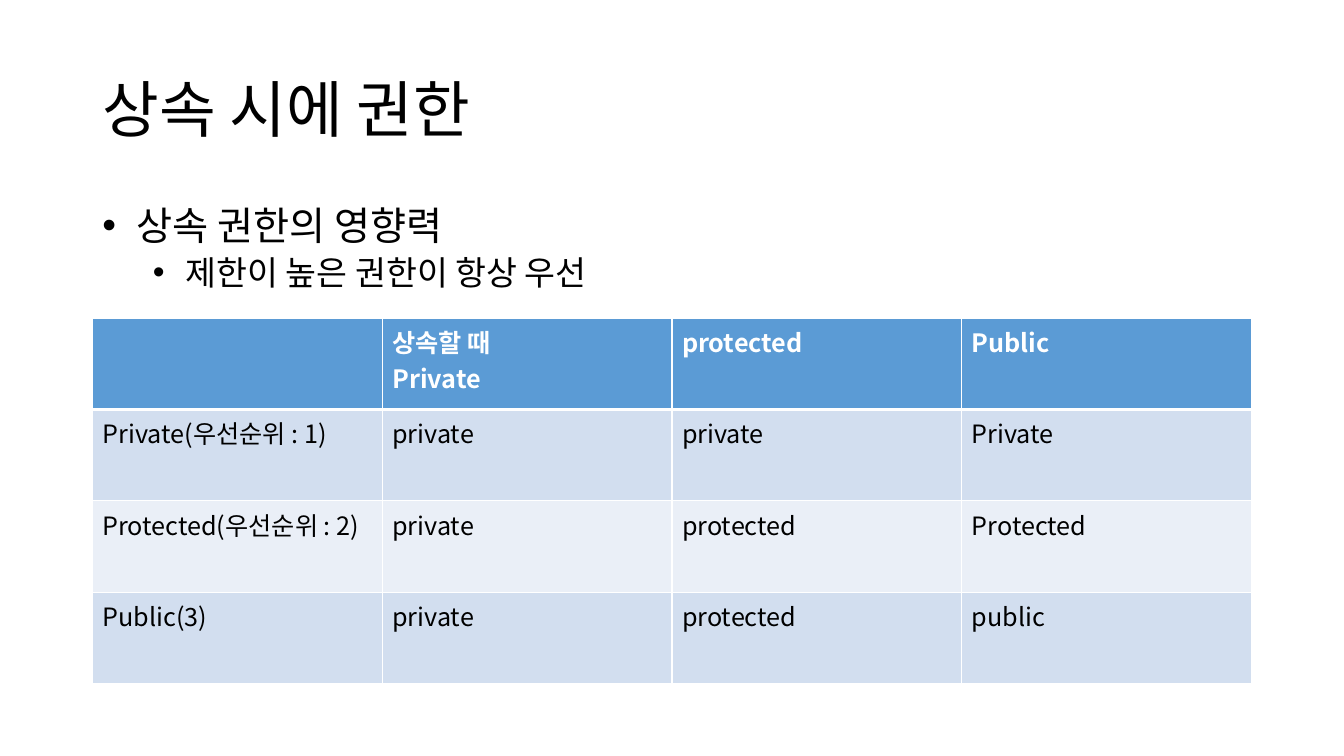
from dataclasses import dataclass

from lxml.etree import SubElement
from pptx import Presentation
from pptx.dml.color import RGBColor
from pptx.enum.text import MSO_ANCHOR as Anchor, MSO_AUTO_SIZE as AutoSize, PP_ALIGN as Align
from pptx.oxml.ns import qn
from pptx.util import Pt

EMU_PER_PX = 9525


@dataclass(frozen=True)
class Theme:
    """Colours, font and type sizes of the slide."""
    font: str = "Noto Sans CJK KR"
    text: str = "000000"
    light: str = "FFFFFF"
    header: str = "5B9BD5"
    bands: tuple = ("D2DEEF", "EAEFF7")
    title_size: int = 44
    list_sizes: tuple = (28, 24)
    table_size: int = 18


THEME = Theme()
TITLE = "상속 시에 권한"
BULLETS = [(0, " 상속 권한의 영향력"), (1, " 제한이 높은 권한이 항상 우선")]
PERMISSIONS = [
    ["", "상속할 때\nPrivate", "protected", "Public"],
    ["Private(우선순위 : 1)", "private", "private", "Private"],
    ["Protected(우선순위 : 2)", "private", "protected", "Protected"],
    ["Public(3)", "private", "protected", "public"],
]


def px(length):
    """Turn pixels into EMU."""
    return length * EMU_PER_PX


def place(shape, box):
    """Move a shape to a box given in px."""
    shape.left, shape.top, shape.width, shape.height = map(px, box)


def add_run(paragraph, text, size, color, bold=False):
    """Add one formatted run for Latin and Korean text."""
    run = paragraph.add_run()
    run.text = text
    font = run.font
    font.name, font.size, font.bold = THEME.font, Pt(size), bold
    font.color.rgb = RGBColor.from_string(color)
    SubElement(run._r.get_or_add_rPr(), qn("a:ea"), typeface=THEME.font)


def fill_title(shape, box):
    """Place and fill the title placeholder."""
    place(shape, box)
    frame = shape.text_frame
    frame.auto_size, frame.vertical_anchor = AutoSize.NONE, Anchor.MIDDLE
    paragraph = frame.paragraphs[0]
    paragraph.alignment, paragraph.line_spacing = Align.LEFT, 0.9
    add_run(paragraph, TITLE, THEME.title_size, THEME.text)


def fill_list(shape, box):
    """Place and fill the two-level bullet list."""
    place(shape, box)
    frame = shape.text_frame
    frame.auto_size, frame.vertical_anchor = AutoSize.NONE, Anchor.TOP
    for index, (level, text) in enumerate(BULLETS):
        paragraph = frame.add_paragraph() if index else frame.paragraphs[0]
        paragraph.level, paragraph.line_spacing = level, 0.9
        paragraph.space_before = Pt((10, 5)[level])
        properties = paragraph._p.get_or_add_pPr()
        properties.set("marL", str(px(24 + 48 * level)))
        properties.set("indent", str(px(-24)))
        SubElement(properties, qn("a:buFont"), typeface="Arial")
        SubElement(properties, qn("a:buChar"), char="•")
        add_run(paragraph, text, THEME.list_sizes[level], THEME.text)


def add_borders(cell, row):
    """Draw white cell borders, thick between header and body."""
    widths = {"L": 1, "R": 1, "T": 3 if row == 1 else 1, "B": 3 if row == 0 else 1}
    for side, width in widths.items():
        line = SubElement(cell._tc.get_or_add_tcPr(), qn(f"a:ln{side}"), w=str(Pt(width)))
        SubElement(SubElement(line, qn("a:solidFill")), qn("a:srgbClr"), val=THEME.light)


def fill_cell(cell, row, text):
    """Format one table cell and write its lines."""
    header = row == 0
    add_borders(cell, row)
    cell.fill.solid()
    cell.fill.fore_color.rgb = RGBColor.from_string(
        THEME.header if header else THEME.bands[(row - 1) % 2])
    frame = cell.text_frame
    for index, line in enumerate(text.split("\n") if text else []):
        paragraph = frame.add_paragraph() if index else frame.paragraphs[0]
        add_run(paragraph, line, THEME.table_size, THEME.light if header else THEME.text, header)


def add_permission_table(slide, box):
    """Add the inheritance table with equal rows and columns."""
    left, top, width, height = map(px, box)
    rows, columns = len(PERMISSIONS), len(PERMISSIONS[0])
    table = slide.shapes.add_table(rows, columns, left, top, width, height).table
    for row, texts in enumerate(PERMISSIONS):
        for column, text in enumerate(texts):
            fill_cell(table.cell(row, column), row, text)


def add_inheritance_slide(presentation):
    """Build the slide from title, table and list."""
    slide = presentation.slides.add_slide(presentation.slide_layouts[1])
    left, width = 88, 1104
    fill_title(slide.shapes.title, (left, 38, width, 139))
    fill_list(slide.placeholders[1], (left, 192, width, 125))
    add_permission_table(slide, (left, 303, width, 348))


def main():
    """Create and save the presentation."""
    presentation = Presentation()
    presentation.slide_width, presentation.slide_height = px(1280), px(720)
    add_inheritance_slide(presentation)
    presentation.save("out.pptx")


if __name__ == "__main__":
    main()
